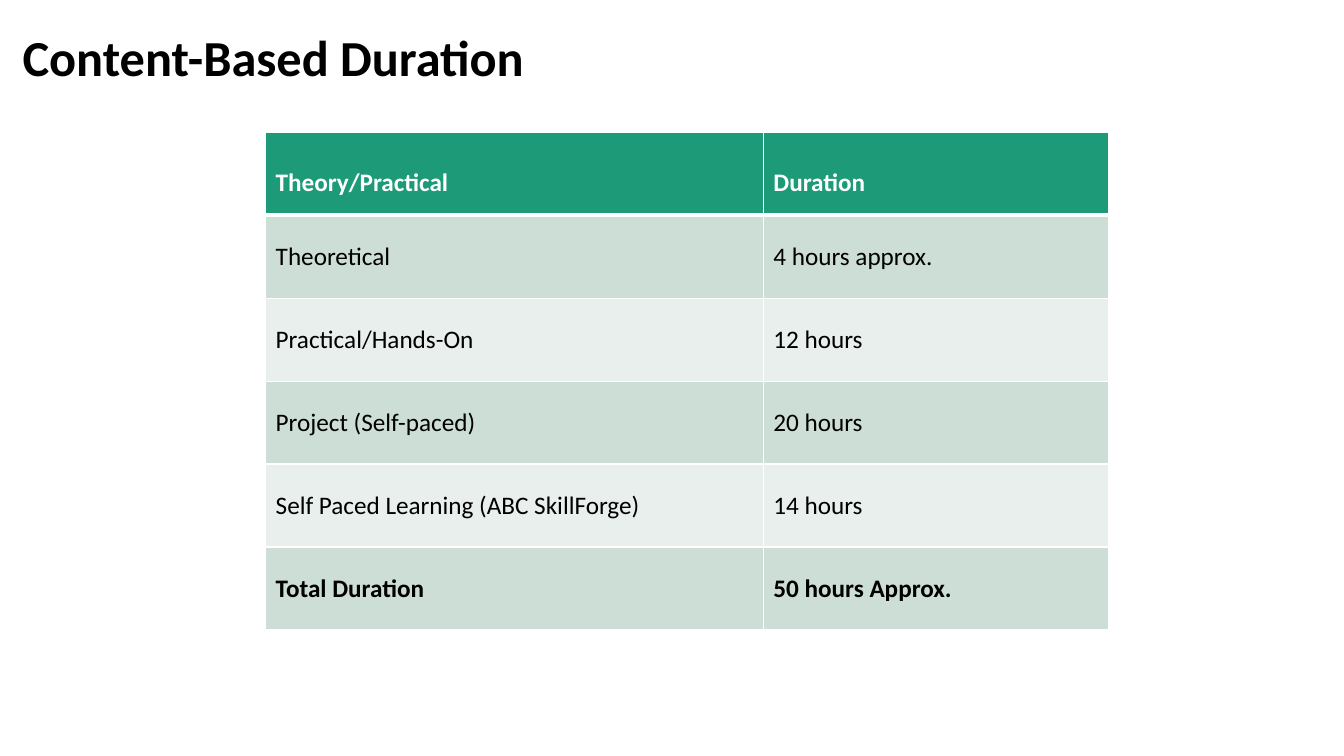
"""Build the slide that lists the duration of each part of the course."""
from dataclasses import dataclass

from pptx import Presentation
from pptx import util as u
from pptx.dml.color import RGBColor
from pptx.enum import text
from pptx.oxml import parse_xml
from pptx.oxml.ns import nsdecls

PX = 9525
FONT = "Calibri"
COLORS = {
    "black": "000000",
    "white": "FFFFFF",
    "header": "1D9A78",
    "band_dark": "CDDED6",
    "band_light": "E8EFEC",
}
COLUMN_WIDTHS = (474, 329)
ROW_HEIGHT = 79
HEADER_TOP_MARGIN = 34
THIN, THICK = 1, 3


@dataclass(frozen=True)
class DurationRow:
    activity: str
    duration: str
    fill: str
    color: str = "black"
    bold: bool = False
    is_header: bool = False
    top_border: int = THIN
    bottom_border: int = THIN


ROWS = (
    DurationRow("Theory/Practical", "Duration", "header", "white", True, True,
                bottom_border=THICK),
    DurationRow("Theoretical", "4 hours approx.", "band_dark", top_border=THICK),
    DurationRow("Practical/Hands-On", "12 hours", "band_light"),
    DurationRow("Project (Self-paced)", "20 hours", "band_dark"),
    DurationRow("Self Paced Learning (ABC SkillForge)", "14 hours", "band_light"),
    DurationRow("Total Duration", "50 hours Approx.", "band_dark", bold=True),
)


def px(length: int) -> u.Emu:
    return u.Emu(length * PX)


def add_run(paragraph, words: str, size: int, color: str, bold: bool) -> None:
    run = paragraph.add_run()
    run.text = words
    run.font.name = FONT
    run.font.size = u.Pt(size)
    run.font.bold = bold
    run.font.color.rgb = RGBColor.from_string(COLORS[color])


def add_title(slide, words: str) -> None:
    frame = slide.shapes.add_textbox(px(12), px(14), px(1104), px(86)).text_frame
    frame.word_wrap = True
    frame.vertical_anchor = text.MSO_ANCHOR.MIDDLE
    paragraph = frame.paragraphs[0]
    paragraph.line_spacing = 0.9
    add_run(paragraph, words, 36, "black", True)


def set_borders(cell, row: DurationRow) -> None:
    properties = cell._tc.get_or_add_tcPr()
    widths = {"lnL": THIN, "lnR": THIN, "lnT": row.top_border, "lnB": row.bottom_border}
    for side, width in widths.items():
        properties.append(parse_xml(
            f'<a:{side} {nsdecls("a")} w="{u.Pt(width)}"><a:solidFill>'
            f'<a:srgbClr val="{COLORS["white"]}"/></a:solidFill></a:{side}>'))


def fill_cell(cell, words: str, row: DurationRow) -> None:
    set_borders(cell, row)
    cell.fill.solid()
    cell.fill.fore_color.rgb = RGBColor.from_string(COLORS[row.fill])
    if row.is_header:
        cell.vertical_anchor = text.MSO_ANCHOR.TOP
        cell.margin_top = px(HEADER_TOP_MARGIN)
    else:
        cell.vertical_anchor = text.MSO_ANCHOR.MIDDLE
    add_run(cell.text_frame.paragraphs[0], words, 18, row.color, row.bold)


def add_duration_table(slide) -> None:
    table = slide.shapes.add_table(
        len(ROWS), len(COLUMN_WIDTHS), px(253), px(126),
        px(sum(COLUMN_WIDTHS)), px(ROW_HEIGHT * len(ROWS))).table
    table.horz_banding = False
    for column, width in zip(table.columns, COLUMN_WIDTHS):
        column.width = px(width)
    for table_row, row in zip(table.rows, ROWS):
        table_row.height = px(ROW_HEIGHT)
        for cell, words in zip(table_row.cells, (row.activity, row.duration)):
            fill_cell(cell, words, row)


def main() -> None:
    presentation = Presentation()
    presentation.slide_width = px(1280)
    presentation.slide_height = px(720)
    slide = presentation.slides.add_slide(presentation.slide_layouts[6])
    slide.background.fill.solid()
    slide.background.fill.fore_color.rgb = RGBColor.from_string(COLORS["white"])
    add_title(slide, "Content-Based Duration")
    add_duration_table(slide)
    presentation.save("out.pptx")


if __name__ == "__main__":
    main()
